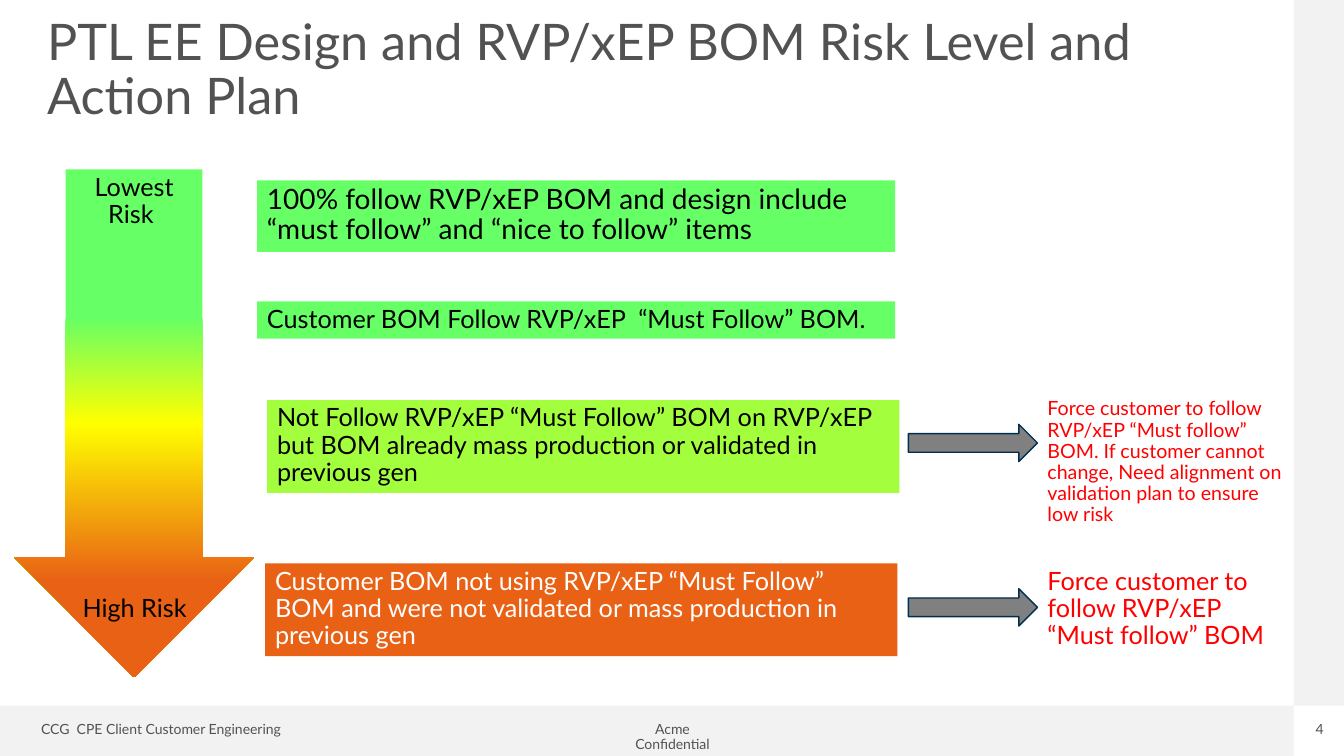
"""Build the BOM risk level and action plan slide."""
from copy import deepcopy
from dataclasses import dataclass

from pptx import Presentation
from pptx.dml.color import RGBColor as Rgb
from pptx.enum.shapes import MSO_SHAPE as Kind
from pptx.enum.text import MSO_ANCHOR as Anchor, PP_ALIGN as Align
from pptx.oxml.ns import qn
from pptx.util import Inches, Pt

HUES = {
    "gray": "525252", "pale": "F2F2F2", "black": "000000", "white": "FFFFFF",
    "red": "FF0000", "green": "66FF66", "lime": "A3FF3D", "yellow": "FFFF00",
    "orange": "E96115", "steel": "808080", "navy": "002E4F",
}
FRAME = {"word_wrap": True, "vertical_anchor": Anchor.TOP}
FLUSH = dict.fromkeys(
    ("margin_left", "margin_top", "margin_right", "margin_bottom"), 0)
FONT = "Lato"


@dataclass
class Block:
    left: float
    top: float
    width: float
    height: float
    kind: Kind = Kind.RECTANGLE
    fill: str = ""
    line: str = ""


@dataclass
class Note(Block):
    text: str = ""
    size: int = 18
    hue: str = "black"
    align: Align = Align.LEFT
    frame: dict | None = None


def tint(name: str) -> Rgb:
    return Rgb.from_string(HUES[name])


def assign(target, values: dict) -> None:
    for name, value in values.items():
        setattr(target, name, value)


def draw(slide, item: Block):
    area = [Inches(n) for n in (item.left, item.top, item.width, item.height)]
    shape = slide.shapes.add_shape(item.kind, *area)
    shape.shadow.inherit = False
    if item.fill:
        shape.fill.solid()
        shape.fill.fore_color.rgb = tint(item.fill)
    if item.line:
        shape.line.color.rgb = tint(item.line)
        shape.line.width = Pt(1)
    else:
        shape.line.fill.background()
    return shape


def write(slide, note: Note) -> None:
    if note.fill:
        shape = draw(slide, note)
    else:
        area = (note.left, note.top, note.width, note.height)
        shape = slide.shapes.add_textbox(*(Inches(n) for n in area))
    assign(shape.text_frame, FRAME | (note.frame or {}))
    para = shape.text_frame.paragraphs[0]
    para.text = note.text
    assign(para, {"alignment": note.align, "line_spacing": 0.9})
    assign(para.font, {"name": FONT, "size": Pt(note.size)})
    para.font.color.rgb = tint(note.hue)


def shade(shape, stops: list[tuple[str, float]]) -> None:
    fill = shape.fill
    fill.gradient()
    fill.gradient_angle = 270
    group = shape._element.spPr.find(".//" + qn("a:gsLst"))
    while len(group) < len(stops):
        group.append(deepcopy(group[-1]))
    for stop, (name, place) in zip(fill.gradient_stops, stops):
        stop.color.rgb = tint(name)
        stop.position = place


BANDS = [
    Block(0, 7, 12.83, 0.5, fill="pale"),
    Block(12.83, 0, 0.5, 7, fill="pale"),
]
SCALE = Block(0.14, 1.68, 2.38, 5.04, Kind.DOWN_ARROW)
STOPS = [("green", 0.29), ("yellow", 0.5), ("orange", 0.81)]
LINKS = [Block(9.01, top, 1.28, 0.37, Kind.RIGHT_ARROW, "steel", "navy")
         for top in (4.21, 5.84)]
NOTES = [
    Note(0.37, 0.05, 12, 1.31, size=36, hue="gray",
         text="PTL EE Design and RVP/xEP BOM Risk Level and Action Plan",
         frame={"vertical_anchor": Anchor.MIDDLE}),
    Note(0.31, 7.12, 2.63, 0.27, size=10, hue="gray",
         text="CCG  CPE Client Customer Engineering"),
    Note(6.06, 7.12, 1.22, 0.27, size=10, hue="gray", align=Align.CENTER,
         text="Acme Confidential"),
    Note(13.01, 7.17, 0.16, 0.17, size=10, hue="gray", align=Align.CENTER,
         text="4", frame=FLUSH),
    Note(0.62, 1.68, 1.42, 0.65, text="Lowest Risk ", align=Align.CENTER),
    Note(0.28, 5.86, 2.11, 0.37, text="High Risk", align=Align.CENTER),
    Note(2.55, 1.79, 6.33, 0.71, fill="green", size=20,
         text="100% follow RVP/xEP BOM and design include “must follow” "
              "and “nice to follow” items"),
    Note(2.55, 2.99, 6.33, 0.37, fill="green",
         text="Customer BOM Follow RVP/xEP  “Must Follow” BOM."),
    Note(2.65, 3.97, 6.27, 0.92, fill="lime",
         text="Not Follow RVP/xEP “Must Follow” BOM on RVP/xEP but BOM "
              "already mass production or validated in previous gen"),
    Note(2.63, 5.59, 6.27, 0.92, fill="orange", hue="white",
         text="Customer BOM not using RVP/xEP “Must Follow” BOM and were "
              "not validated or mass production in previous gen"),
    Note(10.29, 3.91, 2.55, 1.37, size=14, hue="red",
         text="Force customer to follow RVP/xEP “Must follow” BOM. If "
              "customer cannot change, Need alignment on validation plan "
              "to ensure low risk"),
    Note(10.29, 5.59, 2.55, 0.92, hue="red",
         text="Force customer to follow RVP/xEP “Must follow” BOM"),
]


def main() -> None:
    deck = Presentation()
    assign(deck, {"slide_width": Inches(13.33), "slide_height": Inches(7.5)})
    slide = deck.slides.add_slide(deck.slide_layouts[6])
    for item in BANDS + LINKS:
        draw(slide, item)
    arrow = draw(slide, SCALE)
    arrow.adjustments[0] = 0.57
    shade(arrow, STOPS)
    for note in NOTES:
        write(slide, note)
    deck.save("out.pptx")


if __name__ == "__main__":
    main()
